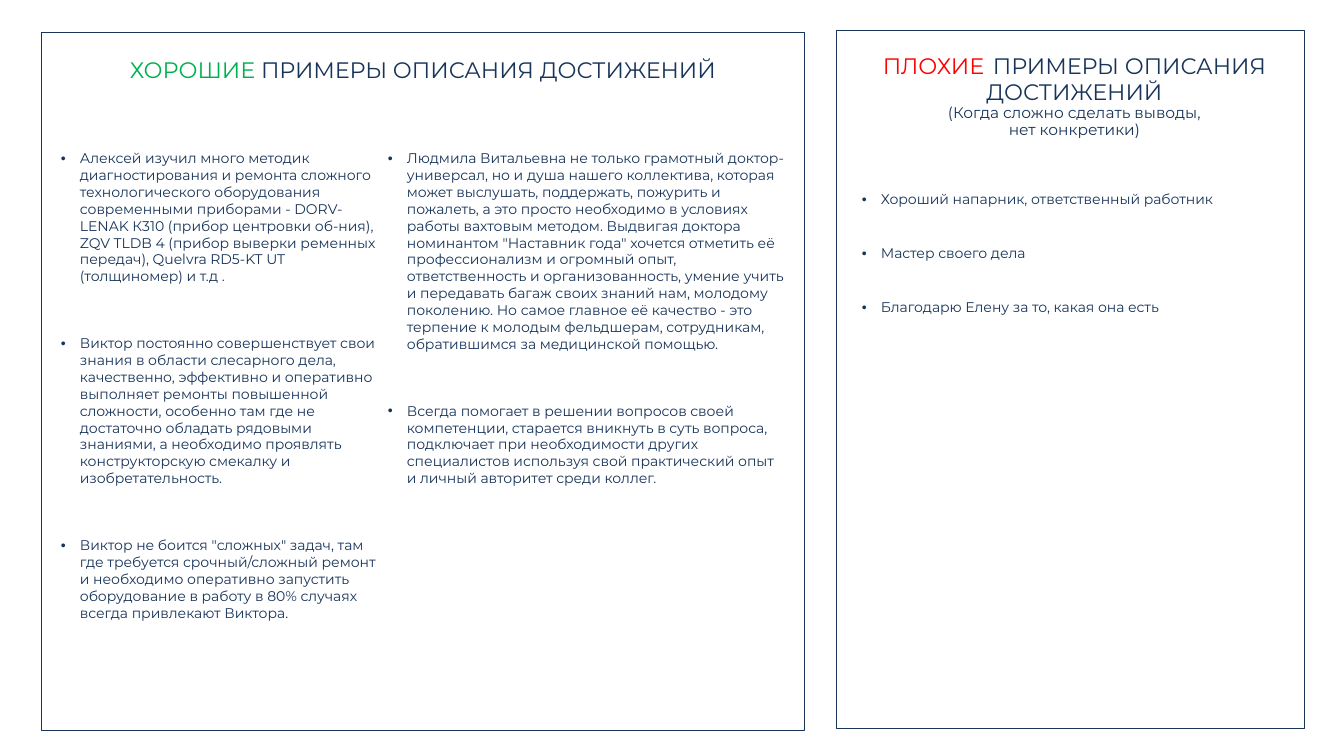
from dataclasses import dataclass

from lxml.etree import SubElement
from pptx import Presentation
from pptx.dml.color import RGBColor
from pptx.enum.shapes import MSO_SHAPE
from pptx.enum.text import MSO_ANCHOR, MSO_AUTO_SIZE, PP_ALIGN
from pptx.oxml.ns import qn
from pptx.util import Emu, Pt


@dataclass(frozen=True)
class Theme:
    font: str = "Montserrat"
    navy: str = "183459"
    green: str = "00B050"
    red: str = "FF0000"
    heading: int = 16
    wide_space: int = 24
    note: int = 11
    body: int = 10
    item_gap: int = 36
    frame_line: float = 0.25


THEME = Theme()
EMU_PER_PX = 914400 / 100.8
INDENT = 19

FRAMES = [(41, 32, 763, 698), (836, 30, 468, 698)]

GOOD_HEADING_BOX = (69, 54, 708, 46)
GOOD_HEADING = [
    [("ХОРОШИЕ", THEME.heading, THEME.green),
     (" ПРИМЕРЫ ОПИСАНИЯ ДОСТИЖЕНИЙ", THEME.heading, THEME.navy)],
]

BAD_HEADING_BOX = (846, 40, 457, 104)
BAD_HEADING = [
    [("ПЛОХИЕ", THEME.heading, THEME.red),
     (" ", THEME.wide_space, THEME.navy),
     ("ПРИМЕРЫ ОПИСАНИЯ ДОСТИЖЕНИЙ", THEME.heading, THEME.navy)],
    [("(Когда сложно сделать выводы,", THEME.note, THEME.navy)],
    [("нет конкретики)", THEME.note, THEME.navy)],
]

GOOD_COLUMNS = [
    ((51, 145, 336, 485), [
        "Алексей изучил много методик диагностирования и ремонта сложного "
        "технологического оборудования современными приборами - DORV-LENAK К310 "
        "(прибор центровки об-ния), ZQV TLDB 4 (прибор выверки ременных передач), "
        "Quelvra RD5-KT UT (толщиномер) и т.д .",
        "Виктор постоянно совершенствует свои знания в области слесарного дела, "
        "качественно, эффективно и оперативно выполняет ремонты повышенной сложности, "
        "особенно там где не достаточно обладать рядовыми знаниями, а необходимо "
        "проявлять конструкторскую смекалку и изобретательность.",
        "Виктор не боится \"сложных\" задач, там где требуется срочный/сложный ремонт "
        "и необходимо оперативно запустить оборудование в работу в 80% случаях всегда "
        "привлекают Виктора.",
    ]),
    ((378, 145, 416, 383), [
        "Людмила Витальевна не только грамотный доктор-универсал, но и душа нашего "
        "коллектива, которая может выслушать, поддержать, пожурить и пожалеть, а это "
        "просто необходимо в условиях работы вахтовым методом. Выдвигая доктора "
        "номинантом \"Наставник года\" хочется отметить её профессионализм и огромный "
        "опыт, ответственность и организованность, умение учить и передавать багаж "
        "своих знаний нам, молодому поколению. Но самое главное её качество - это "
        "терпение к молодым фельдшерам, сотрудникам, обратившимся за медицинской "
        "помощью.",
        "Всегда помогает в решении вопросов своей компетенции, старается вникнуть в "
        "суть вопроса, подключает при необходимости других специалистов используя "
        "свой практический опыт и личный авторитет среди коллег.",
    ]),
]

BAD_FIRST_BOX = (852, 186, 415, 44)
BAD_STEP = 54
BAD_EXAMPLES = [
    "Хороший напарник, ответственный работник",
    "Мастер своего дела",
    "Благодарю Елену за то, какая она есть",
]


def px(length):
    return Emu(round(length * EMU_PER_PX))


def style_font(font, size, color):
    font.name = THEME.font
    font.size = Pt(size)
    font.color.rgb = RGBColor.from_string(color)


def prepare_frame(shape):
    text_frame = shape.text_frame
    text_frame.word_wrap = True
    text_frame.auto_size = MSO_AUTO_SIZE.NONE
    text_frame.vertical_anchor = MSO_ANCHOR.TOP
    return text_frame


def fill_heading(shape, lines):
    text_frame = prepare_frame(shape)
    text_frame.text = "\n".join("" for _ in lines)
    for paragraph, pieces in zip(text_frame.paragraphs, lines):
        paragraph.alignment = PP_ALIGN.CENTER
        paragraph.line_spacing = 0.9
        for text, size, color in pieces:
            run = paragraph.add_run()
            run.text = text
            style_font(run.font, size, color)


def add_bullets(slide, box, items):
    text_frame = prepare_frame(slide.shapes.add_textbox(*map(px, box)))
    text_frame.text = "\n".join(items)
    for index, paragraph in enumerate(text_frame.paragraphs):
        if index:
            paragraph.space_before = Pt(THEME.item_gap)
        properties = paragraph._p.get_or_add_pPr()
        properties.set("marL", str(px(INDENT)))
        properties.set("indent", str(-px(INDENT)))
        SubElement(properties, qn("a:buFont"), typeface="Arial")
        SubElement(properties, qn("a:buChar"), char="•")
        style_font(paragraph.runs[0].font, THEME.body, THEME.navy)


def add_frame(slide, box):
    shape = slide.shapes.add_shape(MSO_SHAPE.RECTANGLE, *map(px, box))
    shape.shadow.inherit = False
    shape.fill.background()
    shape.line.color.rgb = RGBColor.from_string(THEME.navy)
    shape.line.width = Pt(THEME.frame_line)


def main():
    presentation = Presentation()
    presentation.slide_width = px(1344)
    presentation.slide_height = px(756)
    slide = presentation.slides.add_slide(presentation.slide_layouts[5])

    title = slide.shapes.title
    title.left, title.top, title.width, title.height = map(px, GOOD_HEADING_BOX)
    fill_heading(title, GOOD_HEADING)
    for box, items in GOOD_COLUMNS:
        add_bullets(slide, box, items)

    fill_heading(slide.shapes.add_textbox(*map(px, BAD_HEADING_BOX)), BAD_HEADING)
    left, top, width, height = BAD_FIRST_BOX
    for index, example in enumerate(BAD_EXAMPLES):
        add_bullets(slide, (left, top + index * BAD_STEP, width, height), [example])

    for box in FRAMES:
        add_frame(slide, box)
    presentation.save("out.pptx")


if __name__ == "__main__":
    main()
